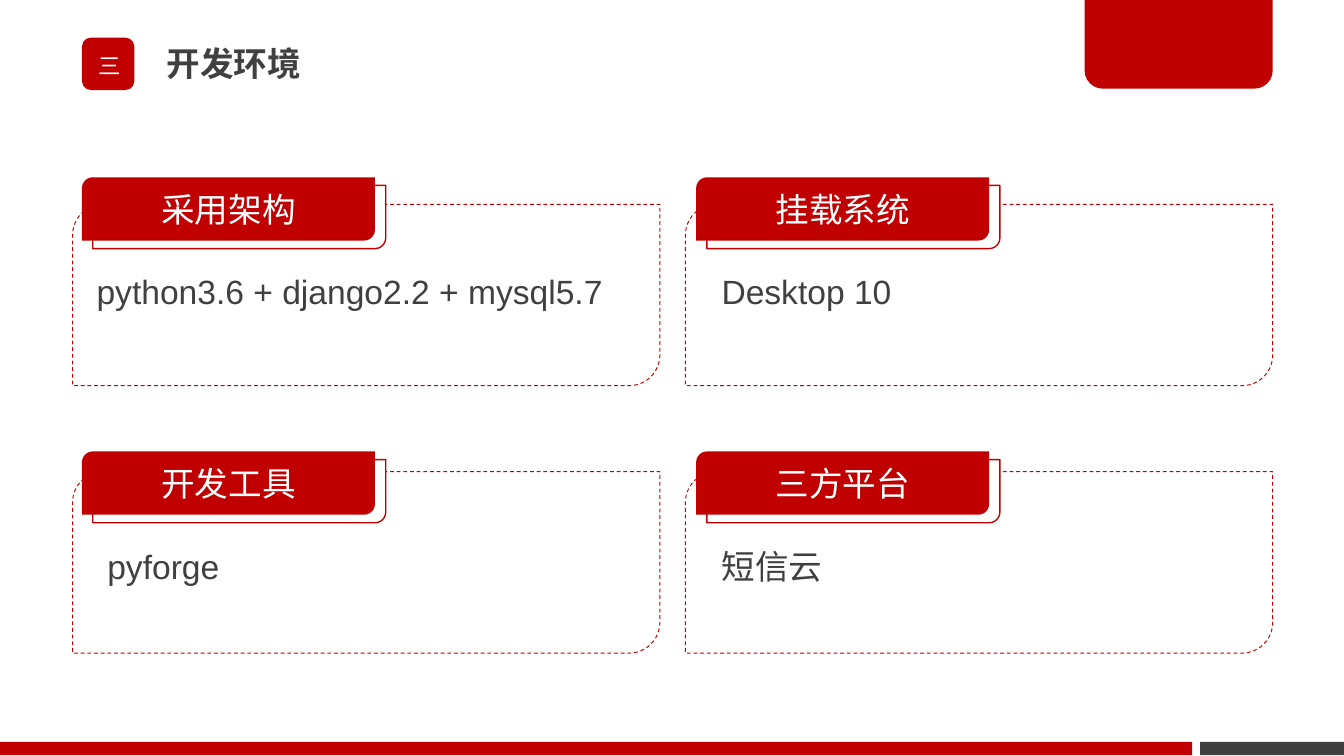
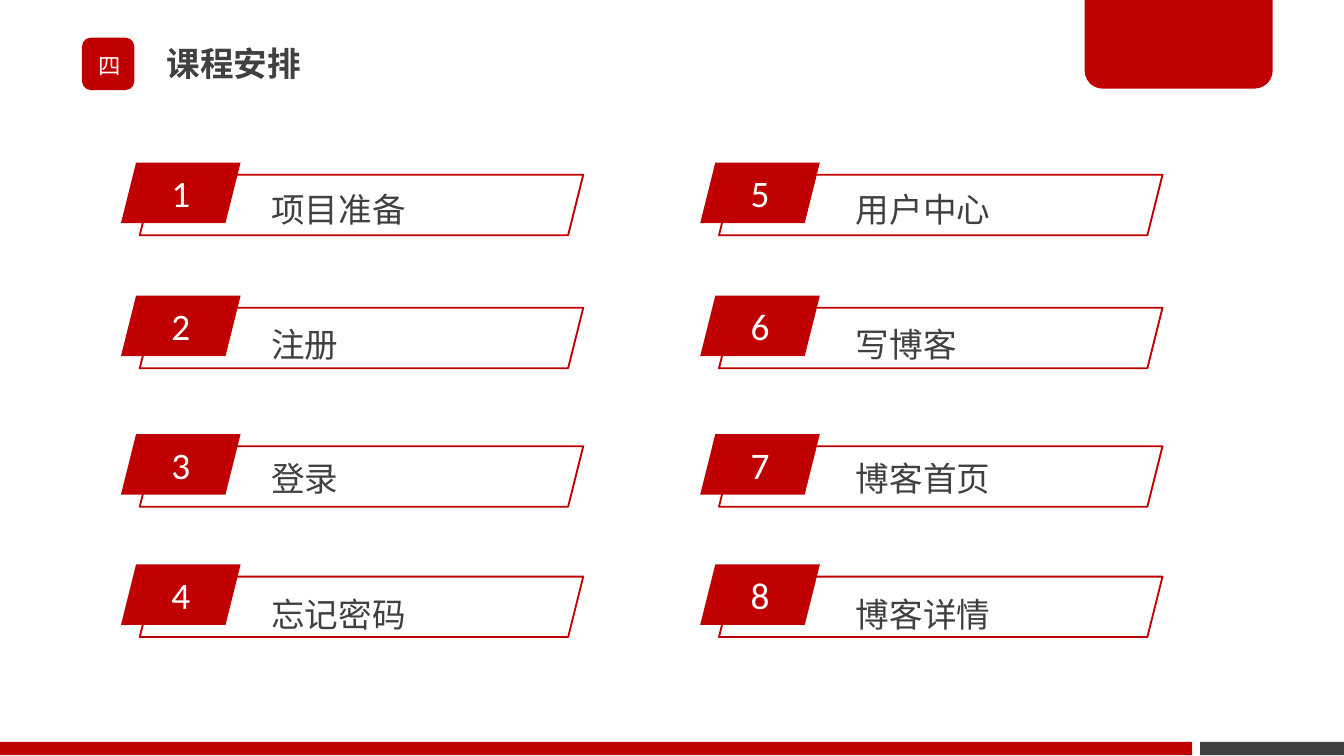
from pptx import Presentation
from pptx.dml.color import RGBColor
from pptx.enum.dml import MSO_LINE
from pptx.enum.shapes import MSO_SHAPE
from pptx.enum.text import MSO_ANCHOR, MSO_AUTO_SIZE, PP_ALIGN
from pptx.util import Inches, Pt

RED = RGBColor(0xC0, 0x00, 0x00)
GREY = RGBColor(0x40, 0x40, 0x40)
WHITE = RGBColor(0xFF, 0xFF, 0xFF)

RECT = MSO_SHAPE.RECTANGLE
ROUND = MSO_SHAPE.ROUNDED_RECTANGLE
DIAG = MSO_SHAPE.ROUND_2_DIAG_RECTANGLE
SAME = MSO_SHAPE.ROUND_2_SAME_RECTANGLE
SLANT = MSO_SHAPE.PARALLELOGRAM
DASH = MSO_LINE.DASH
LEFT, CENTER = PP_ALIGN.LEFT, PP_ALIGN.CENTER
MIDDLE = MSO_ANCHOR.MIDDLE
GROW = MSO_AUTO_SIZE.SHAPE_TO_FIT_TEXT

WIDTH = 10
HEIGHT = WIDTH * 9 / 16

CARDS = [
    ("采用架构", "python3.6 + django2.2 + mysql5.7", 0.62, 0.4),
    ("挂载系统", "Desktop 10", 5.27, 0.7),
    ("开发工具", "pyforge", 0.7, 0.7),
    ("三方平台", "短信云", 5.27, 0.4),
]
CARD_COLS = ((0.54, 0.61), (5.1, 5.18))  # frame, tab
CARD_ROWS = ((1.52, 1.32, 1.97), (3.51, 3.36, 4.01))  # frame, tab, text

STEPS = ["项目准备", "注册", "登录", "忘记密码",
         "用户中心", "写博客", "博客首页", "博客详情"]
STEP_COLS = ((0.9, 1.92, 3), (5.21, 6.27, 3.84))  # number, label, label width
STEP_ROWS = ((1.21, 1.21), (2.2, 2.21), (3.23, 3.21), (4.2, 4.22))


def write(shape, text, size=18, color=GREY, align=LEFT, font="Arial",
          bold=False, space=None):
    para = shape.text_frame.paragraphs[0]
    para.text = text
    para.alignment = align
    para.line_spacing = space
    para.font.name = font
    para.font.size = Pt(size)
    para.font.bold = bold
    para.font.color.rgb = color


def add_block(slide, kind, x, y, w, h, fill=None, line=None, adj=()):
    """Add a preset shape; line is a width in points for a red outline."""
    shape = slide.shapes.add_shape(
        kind, Inches(x), Inches(y), Inches(w), Inches(h))
    shape.shadow.inherit = False
    shape.text_frame.vertical_anchor = MIDDLE
    for i, value in enumerate(adj):
        shape.adjustments[i] = value
    if fill is None:
        shape.fill.background()
    else:
        shape.fill.solid()
        shape.fill.fore_color.rgb = fill
    if line is None:
        shape.line.fill.background()
    else:
        shape.line.color.rgb = RED
        shape.line.width = Pt(line)
    return shape


def add_label(slide, x, y, w, h, text, **style):
    box = slide.shapes.add_textbox(Inches(x), Inches(y), Inches(w), Inches(h))
    box.text_frame.word_wrap = True
    box.text_frame.auto_size = GROW
    write(box, text, **style)


def add_heading(slide, x, y, w, h, text, **style):
    """Add a middle-anchored box with the narrow margins of the title row."""
    box = slide.shapes.add_textbox(Inches(x), Inches(y), Inches(w), Inches(h))
    frame = box.text_frame
    frame.word_wrap = True
    frame.vertical_anchor = MIDDLE
    frame.margin_left = frame.margin_right = Inches(0.08)
    frame.margin_top = frame.margin_bottom = Inches(0.04)
    write(box, text, space=0.9, **style)


def add_page(deck, mark, title):
    """Add a blank slide with the corner tab, footer bands and title."""
    slide = deck.slides.add_slide(deck.slide_layouts[6])
    add_block(slide, RECT, 8.93, 5.52, 1.07, 0.1, GREY)
    add_block(slide, SAME, 8.07, -0.02, 1.4, 0.68, RED, adj=(0, 0.2))
    add_block(slide, RECT, 0, 5.52, 8.87, 0.1, RED)
    add_block(slide, ROUND, 0.61, 0.28, 0.39, 0.39, RED, adj=(0.17,))
    add_heading(slide, 0.54, 0.19, 0.55, 0.62, mark,
                size=12, color=WHITE, align=CENTER)
    add_heading(slide, 1.16, 0.04, 5.89, 0.89, title, bold=True)
    return slide


def add_card(slide, col, row, head, body, body_x, body_h):
    frame_x, tab_x = col
    frame_y, tab_y, body_y = row
    frame = add_block(slide, DIAG, frame_x, frame_y, 4.37, 1.35,
                      line=0.5, adj=(0.17, 0))
    frame.line.dash_style = DASH
    add_block(slide, DIAG, tab_x + 0.08, tab_y + 0.06, 2.18, 0.47,
              WHITE, line=0.75, adj=(0.17, 0))
    tab = add_block(slide, DIAG, tab_x, tab_y, 2.18, 0.47,
                    RED, adj=(0.17, 0))
    write(tab, head, color=WHITE, align=CENTER)
    add_label(slide, body_x, body_y, 4.28, body_h, body)


def add_step(slide, col, row, number, text):
    x, text_x, text_w = col
    y, text_y = row
    add_block(slide, SLANT, x + 0.14, y + 0.09, 3.3, 0.45, WHITE, line=1)
    tag = add_block(slide, SLANT, x, y, 0.89, 0.45, RED)
    write(tag, str(number), size=20, color=WHITE, align=CENTER,
          font="Calibri")
    add_label(slide, text_x, text_y, text_w, 0.55, text, space=1.5)


def main():
    deck = Presentation()
    deck.slide_width, deck.slide_height = Inches(WIDTH), Inches(HEIGHT)

    tools = add_page(deck, "三", "开发环境")
    for i, card in enumerate(CARDS):
        row, col = divmod(i, 2)
        add_card(tools, CARD_COLS[col], CARD_ROWS[row], *card)

    plan = add_page(deck, "四", "课程安排")
    for i, text in enumerate(STEPS):
        col, row = divmod(i, 4)
        add_step(plan, STEP_COLS[col], STEP_ROWS[row], i + 1, text)

    deck.save("out.pptx")


if __name__ == "__main__":
    main()
